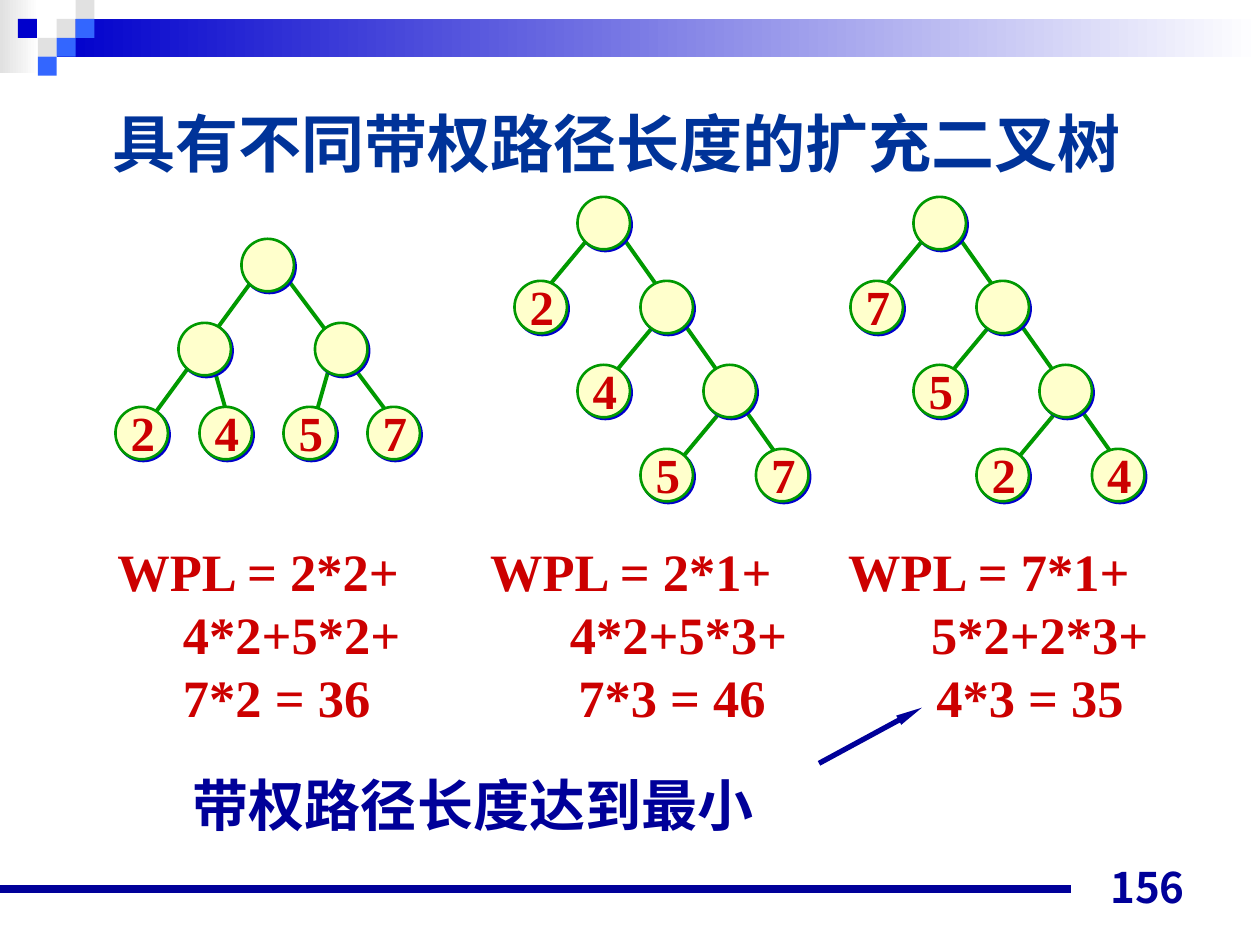
from pptx import Presentation, util as u
from pptx.dml.color import RGBColor
from pptx.enum import shapes, text
from pptx.oxml import parse_xml
from pptx.oxml.ns import nsdecls, qn

COLORS = {"navy": "000099", "title": "003399", "red": "CC0000", "green": "009900",
          "cream": "FFFFCC", "blue": "0000CC", "azure": "3366FF", "gray": "E1E1E1",
          "white": "FFFFFF"}
SERIF, CJK, CJK_NUMBER = "Times New Roman", "Noto Sans CJK SC", "Noto Sans CJK JP"
NODE = 5          # circle diameter in grid units
SQUARE = 1.8      # side of a header square
FORMULA_TOP = 50.76

# Nodes are (column, row, weight), edges (column, row, column, row), inside the tree box.
BALANCED = {
    "nodes": [(12, 0, ""), (6, 8, ""), (19, 8, ""),
              (0, 16, "2"), (8, 16, "4"), (16, 16, "5"), (24, 16, "7")],
    "edges": [(15, 2, 27, 18), (21, 10, 19, 17), (9, 11, 11, 18), (13, 4, 2, 19)],
}


def skewed(weights):
    """Tree whose right branch carries one leaf on each level and two on the last."""
    spots = [(0, 8), (6, 16), (12, 24), (23, 24)]
    inner = [(6 * i, 8 * (i - 1), "") for i in (1, 2, 3)]
    left_edges = [(7 + 6.5 * i, 4 + 8 * i, 2 + 6.5 * i, 10 + 8 * i) for i in range(3)]
    return {"nodes": inner + [(*spot, w) for spot, w in zip(spots, weights)],
            "edges": [(9, 2, 26, 26)] + left_edges}


TREES = [((11, 22.75), BALANCED), ((49, 18.75), skewed("2457")),
         ((81, 18.75), skewed("7524"))]

# Each line has its own tab stops, in grid units from the text edge.
FORMULA_LINES = [
    ("WPL = 2*2+\tWPL = 2*1+\tWPL = 7*1+", (35.5, 69.6)),
    ("\t4*2+5*2+\t4*2+5*3+\t5*2+2*3+", (6.25, 43.1, 77.5)),
    ("\t7*2 = 36\t7*3 = 46\t4*3 = 35", (6.25, 43.9, 78)),
]


def grid(units):
    """The slide is 120 columns by 90 rows of a twelfth of an inch."""
    return u.Emu(round(units * u.Inches(1) / 12))


def color(name):
    return RGBColor.from_string(COLORS[name])


def effects(shape, inner=""):
    shape._element.spPr.append(
        parse_xml(f'<a:effectLst {nsdecls("a")}>{inner}</a:effectLst>'))


def add_line(slide, x1, y1, x2, y2, hue, width, arrow=False):
    line = slide.shapes.add_connector(shapes.MSO_CONNECTOR.STRAIGHT,
                                      *map(grid, (x1, y1, x2, y2)))
    line.line.color.rgb, line.line.width = color(hue), u.Pt(width)
    if arrow:
        line.line._get_or_add_ln().append(parse_xml(
            f'<a:tailEnd {nsdecls("a")} type="triangle" w="sm" len="lg"/>'))
    effects(line)


def add_block(slide, box, *hues):
    """Rectangle in one colour, or fading from the right colour to the left one."""
    block = slide.shapes.add_shape(shapes.MSO_SHAPE.RECTANGLE, *map(grid, box))
    block.shadow.inherit = False
    block.line.fill.background()
    if len(hues) == 1:
        block.fill.solid()
        block.fill.fore_color.rgb = color(hues[0])
    else:
        block.fill.gradient()
        block.fill.gradient_angle = 180
        for stop, hue in zip(block.fill.gradient_stops, hues):
            stop.color.rgb = color(hue)


def add_frame(slide, box, anchor=text.MSO_ANCHOR.TOP, wrap=True):
    frame = slide.shapes.add_textbox(*map(grid, box)).text_frame
    frame.word_wrap, frame.vertical_anchor = wrap, anchor
    return frame


def write(frame, words, size, hue, font=SERIF, align=None, leading=1.2,
          before=0, indent=0, tabs=()):
    """Write one bold paragraph; leading is a share of the size."""
    paragraph = frame.paragraphs[0]
    if paragraph.runs:
        paragraph = frame.add_paragraph()
    paragraph.alignment = align
    paragraph.line_spacing = u.Pt(size * leading)
    if before:
        paragraph.space_before = u.Pt(before)
    properties = paragraph._p.get_or_add_pPr()
    if indent:
        properties.set("marL", str(grid(indent)))
        properties.set("indent", "0")
    if tabs:
        stops = "".join(f'<a:tab pos="{grid(t)}" algn="l"/>' for t in tabs)
        properties.append(parse_xml(f'<a:tabLst {nsdecls("a")}>{stops}</a:tabLst>'))
    run = paragraph.add_run()
    run.text = words
    run.font.size, run.font.bold, run.font.name = u.Pt(size), True, font
    run.font.color.rgb = color(hue)
    east_asian = run._r.get_or_add_rPr().makeelement(qn("a:ea"))
    east_asian.set("typeface", CJK if font == SERIF else font)
    run._r.get_or_add_rPr().append(east_asian)


def add_header(slide):
    add_block(slide, (0, 0, 3.7, 7), "white", "gray")
    add_block(slide, (3 * SQUARE, SQUARE, 120 - 3 * SQUARE, 2 * SQUARE), "white", "blue")
    for column, row, hue in [(3, 1, "gray"), (4, 0, "gray"), (4, 1, "azure"),
                             (2, 2, "gray"), (0.95, 1, "blue"), (3, 2, "azure"),
                             (2, 3, "azure")]:
        add_block(slide, (column * SQUARE, row * SQUARE, SQUARE, SQUARE), hue)


def add_footer(slide):
    add_line(slide, 0, 84.7, 102, 84.7, "navy", 4.5)
    write(add_frame(slide, (86, 81.4, 28, 6), text.MSO_ANCHOR.BOTTOM), "156", 24, "navy",
          font=CJK_NUMBER, align=text.PP_ALIGN.RIGHT)


def add_node(slide, x, y, weight):
    circle = slide.shapes.add_shape(shapes.MSO_SHAPE.OVAL, *map(grid, (x, y, NODE, NODE)))
    circle.fill.solid()
    circle.fill.fore_color.rgb = color("cream")
    circle.line.color.rgb, circle.line.width = color("green"), u.Pt(1.5)
    effects(circle, '<a:outerShdw blurRad="0" dist="17780" dir="2700000" algn="ctr" '
                    f'rotWithShape="0"><a:srgbClr val="{COLORS["blue"]}"/></a:outerShdw>')
    if weight:
        label = add_frame(slide, (x + 0.25, y - 1, 4.7, 6.8), text.MSO_ANCHOR.MIDDLE, False)
        write(label, weight, 28, "red", align=text.PP_ALIGN.CENTER)


def add_tree(slide, origin, tree):
    left, top = origin
    for x1, y1, x2, y2 in tree["edges"]:
        add_line(slide, left + x1, top + y1, left + x2, top + y2, "green", 2.25)
    for x, y, weight in tree["nodes"]:
        add_node(slide, left + x, top + y, weight)


def add_formulas(slide, box):
    frame = add_frame(slide, box)
    for words, tabs in FORMULA_LINES:
        write(frame, words, 30, "red", tabs=tabs)
    write(frame, "带权路径长度达到最小", 32, "navy", font=CJK, before=24, indent=7.2)


def main():
    deck = Presentation()
    deck.slide_width, deck.slide_height = grid(120), grid(90)
    slide = deck.slides.add_slide(deck.slide_layouts[6])
    add_header(slide)
    write(add_frame(slide, (9.5, 8.9, 100, 8.4)), "具有不同带权路径长度的扩充二叉树",
          36, "title", leading=1.28)
    add_formulas(slide, (10, FORMULA_TOP, 102, 29.3))
    for origin, tree in TREES:
        add_tree(slide, origin, tree)
    add_line(slide, 78, 72.7, 87.8, 67.4, "navy", 3, arrow=True)
    add_footer(slide)
    deck.save("out.pptx")


if __name__ == "__main__":
    main()
